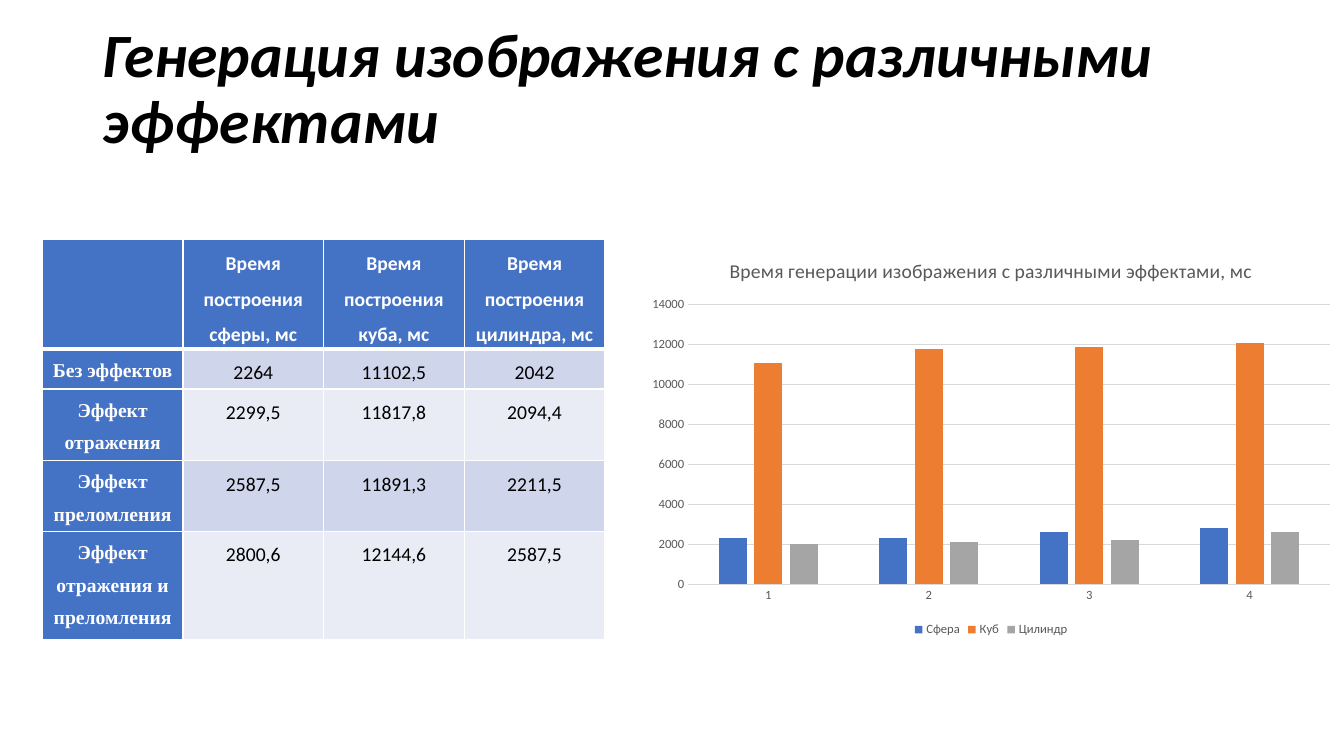
from lxml import etree
from pptx import Presentation
from pptx import util as u
from pptx.chart.data import CategoryChartData
from pptx.dml.color import RGBColor
from pptx.enum import chart as charts, text
from pptx.oxml import ns

BLUE, WHITE, BLACK = "4472C4", "FFFFFF", "000000"
GREY, LINE = "595959", "D9D9D9"
BANDS = ["CFD5EA", "E9EBF5"]

HEADINGS = ["", "Время построения сферы, мс", "Время построения куба, мс",
            "Время построения цилиндра, мс"]
TIMINGS = [
    ["Без эффектов", "2264", "11102,5", "2042"],
    ["Эффект отражения", "2299,5", "11817,8", "2094,4"],
    ["Эффект преломления", "2587,5", "11891,3", "2211,5"],
    ["Эффект отражения и преломления", "2800,6", "12144,6", "2587,5"],
]
ROW_HEIGHTS = [1.08, 0.4, 0.71, 0.7, 1.08]
SOLIDS = [("Сфера", BLUE), ("Куб", "ED7D31"), ("Цилиндр", "A5A5A5")]


def rgb(color):
    return RGBColor.from_string(color)


def to_hundreds(timing):
    return round(float(timing.replace(",", ".")), -2)


class SlideBuilder:
    font = "Calibri"

    def __init__(self, slide):
        self.slide = slide

    def style(self, font, size, color, bold=False, italic=False, name=None):
        font.name = name or self.font
        font.size = u.Pt(size)
        font.bold = bold
        font.italic = italic
        font.color.rgb = rgb(color)

    def heading(self, words, *box):
        frame = self.slide.shapes.add_textbox(*map(u.Inches, box)).text_frame
        frame.word_wrap = True
        frame.vertical_anchor = text.MSO_ANCHOR.MIDDLE
        paragraph = frame.paragraphs[0]
        paragraph.text = words
        paragraph.line_spacing = 0.9
        self.style(paragraph.font, 44, BLACK, bold=True, italic=True)

    def borders(self, cell, bottom):
        properties = cell._tc.get_or_add_tcPr()
        widths = {"lnL": 1, "lnR": 1, "lnT": 1, "lnB": bottom}
        for position, (side, width) in enumerate(widths.items()):
            line = etree.Element(ns.qn(f"a:{side}"), w=str(u.Pt(width)))
            fill = etree.SubElement(line, ns.qn("a:solidFill"))
            etree.SubElement(fill, ns.qn("a:srgbClr"), val=WHITE)
            properties.insert(position, line)

    def cell(self, cell, words, fill, color, bold, name, bottom):
        cell.fill.solid()
        cell.fill.fore_color.rgb = rgb(fill)
        cell.margin_left = cell.margin_right = u.Inches(0.07)
        cell.margin_top = cell.margin_bottom = 0
        paragraph = cell.text_frame.paragraphs[0]
        paragraph.text = words
        paragraph.alignment = text.PP_ALIGN.CENTER
        paragraph.line_spacing = 1.5
        self.style(paragraph.font, 14, color, bold=bold, name=name)
        self.borders(cell, bottom)

    def table(self, rows, heights, *box):
        table = self.slide.shapes.add_table(
            len(rows), len(rows[0]), *map(u.Inches, box)).table
        for row, height in zip(table.rows, heights):
            row.height = u.Inches(height)
        for r, row in enumerate(rows):
            for c, words in enumerate(row):
                header = r == 0 or c == 0
                self.cell(
                    table.cell(r, c), words,
                    fill=BLUE if header else BANDS[(r - 1) % 2],
                    color=WHITE if header else BLACK,
                    bold=header,
                    name="Times New Roman" if r and not c else self.font,
                    bottom=1 if r else 3)

    def columns(self, title, categories, series, *box):
        data = CategoryChartData()
        data.categories = categories
        for name, _, values in series:
            data.add_series(name, values)
        chart = self.slide.shapes.add_chart(
            charts.XL_CHART_TYPE.COLUMN_CLUSTERED,
            *map(u.Inches, box), data).chart
        self.style(chart.font, 10, BLACK)

        chart.has_title = True
        caption = chart.chart_title.text_frame.paragraphs[0]
        caption.text = title
        self.style(caption.font, 14, GREY)
        chart.chart_title.include_in_layout = False

        chart.has_legend = True
        chart.legend.position = charts.XL_LEGEND_POSITION.BOTTOM
        chart.legend.include_in_layout = False
        self.style(chart.legend.font, 9, GREY)

        for axis in (chart.category_axis, chart.value_axis):
            axis.major_tick_mark = charts.XL_TICK_MARK.NONE
            axis.minor_tick_mark = charts.XL_TICK_MARK.NONE
            self.style(axis.tick_labels.font, 9, GREY)
        chart.value_axis.format.line.fill.background()
        chart.value_axis.minimum_scale = 0
        chart.value_axis.maximum_scale = 14000
        chart.value_axis.major_unit = 2000
        for ruled in (chart.category_axis, chart.value_axis.major_gridlines):
            ruled.format.line.color.rgb = rgb(LINE)
            ruled.format.line.width = u.Pt(0.75)

        plot = chart.plots[0]
        plot.vary_by_categories = False
        plot.gap_width = 219
        plot.overlap = -27
        for bars, (_, color, _) in zip(plot.series, series):
            bars.format.fill.solid()
            bars.format.fill.fore_color.rgb = rgb(color)


def main():
    deck = Presentation()
    deck.slide_width = u.Inches(13.33)
    deck.slide_height = u.Inches(7.5)
    builder = SlideBuilder(deck.slides.add_slide(deck.slide_layouts[6]))

    builder.heading("Генерация изображения с различными эффектами",
                    0.92, 0.15, 11.5, 1.5)
    builder.table([HEADINGS] + TIMINGS, ROW_HEIGHTS, 0.42, 2.38, 5.58, 3.97)

    series = [
        (name, color, [to_hundreds(row[column]) for row in TIMINGS])
        for column, (name, color) in enumerate(SOLIDS, 1)
    ]
    effects = [str(number) for number in range(1, len(TIMINGS) + 1)]
    builder.columns("Время генерации изображения с различными эффектами, мс",
                    effects, series, 6.33, 2.38, 7, 3.98)
    deck.save("out.pptx")


if __name__ == "__main__":
    main()
